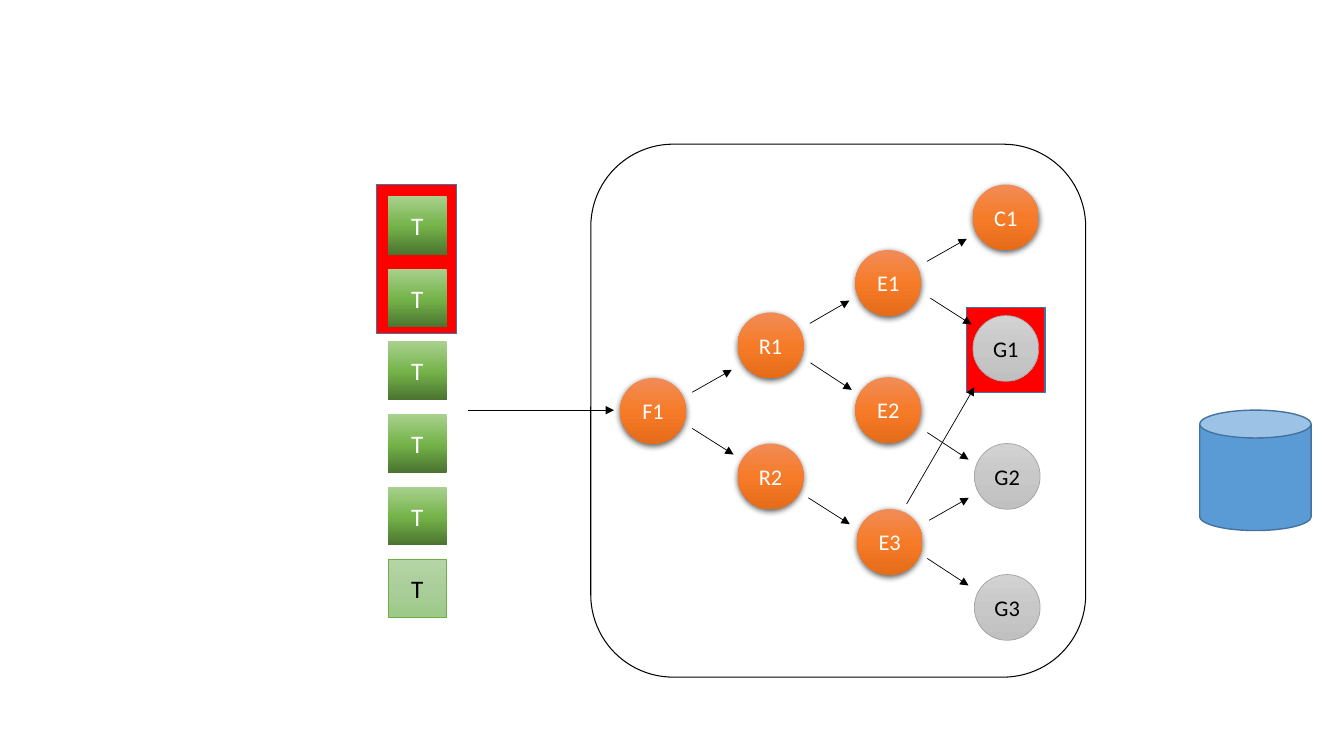
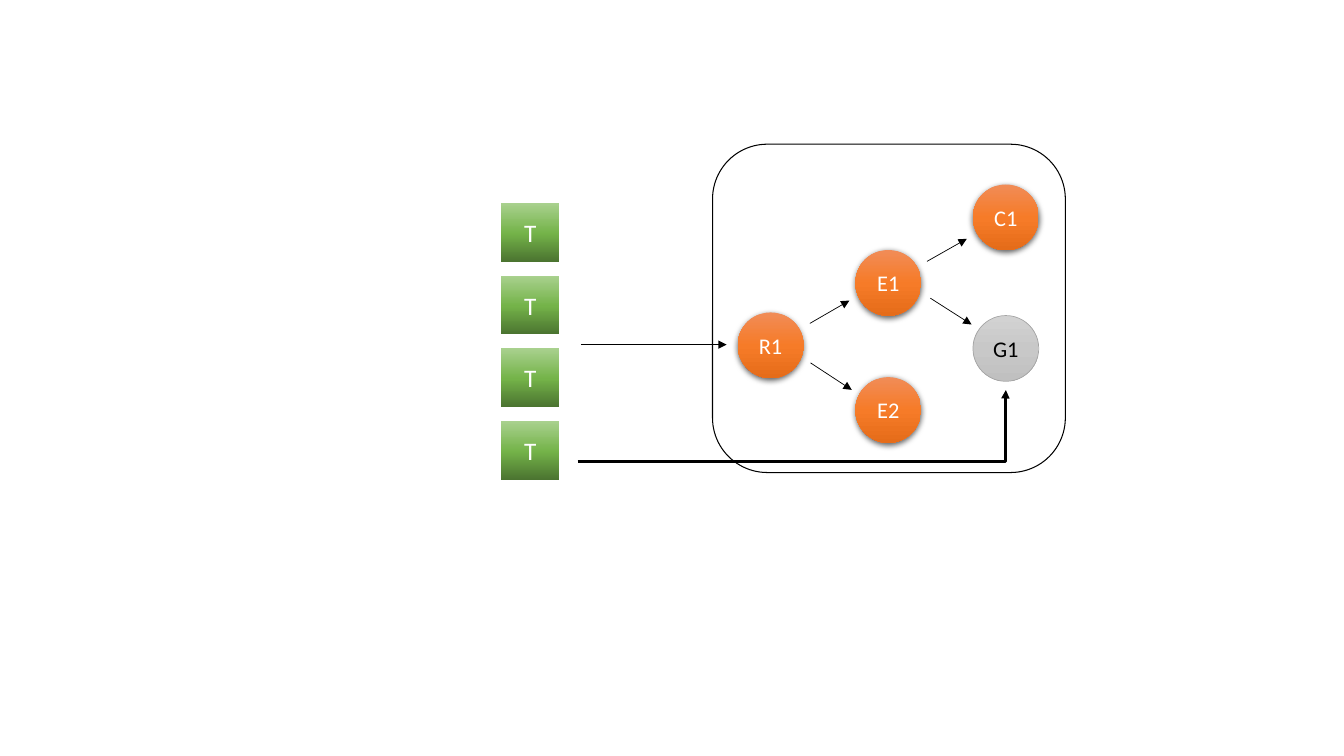
from copy import deepcopy
from dataclasses import dataclass
from typing import Optional

from lxml.etree import SubElement
from pptx import Presentation
from pptx.dml.color import RGBColor
from pptx.enum.shapes import MSO_CONNECTOR, MSO_SHAPE
from pptx.enum.text import MSO_ANCHOR, PP_ALIGN
from pptx.oxml.ns import qn
from pptx.shapes.autoshape import Shape
from pptx.shapes.connector import Connector
from pptx.slide import Slide
from pptx.util import Pt


@dataclass(frozen=True)
class Look:
    stops: tuple[tuple[float, str], ...] = ()
    fill: Optional[str] = None
    outline: Optional[str] = None
    outline_width: float = 0.5
    text: str = "FFFFFF"
    text_size: float = 16
    shadow: bool = False


@dataclass(frozen=True)
class Theme:
    font: str = "Calibri"
    ink: str = "000000"
    thin: float = 0.5
    thick: float = 2
    active: Look = Look(
        stops=((0, "F18C57"), (0.5, "F67B28"), (1, "E56C19")), shadow=True)
    goal: Look = Look(
        stops=((0, "D2D2D2"), (0.5, "C8C8C8"), (1, "C0C0C0")),
        outline="A5A5A5", text="000000")
    token: Look = Look(
        stops=((0, "A9D18E"), (0.52, "74B349"), (1, "4B7430")), text_size=18)
    pale_token: Look = Look(
        stops=((0, "B5D5A7"), (0.5, "AACE9A"), (1, "9CC987")),
        outline="70AD47", text="000000", text_size=18)
    highlight: Look = Look(fill="FF0000", outline="43739E", outline_width=1)
    store: Look = Look(fill="5B9BD5", outline="43739E", outline_width=1)
    frame: Look = Look(outline="000000", outline_width=0.75)


@dataclass(frozen=True)
class Box:
    left: float
    top: float
    width: float
    height: float


@dataclass(frozen=True)
class Node:
    label: str
    left: float
    top: float
    look: Look


@dataclass(frozen=True)
class Arrow:
    start_x: float
    start_y: float
    end_x: float
    end_y: float


THEME = Theme()
NODE_SIZE = 47
TOKEN_SIZE = 41.8
TOKEN_STEP = 51.9

SHARED_NODES = (
    Node("R1", 527, 223.2, THEME.active),
    Node("E1", 611, 178.6, THEME.active),
    Node("C1", 695, 131.8, THEME.active),
    Node("G1", 695, 225.4, THEME.goal),
    Node("E2", 611, 269.4, THEME.active),
)
SHARED_ARROWS = (
    Arrow(578.5, 231, 606.7, 214.7),
    Arrow(662.2, 186.7, 690.6, 170.6),
    Arrow(579, 259.2, 608.4, 278.5),
    Arrow(664.6, 213, 694, 231.8),
)
FULL_NODES = (
    Node("F1", 443, 270, THEME.active),
    Node("R2", 527, 316.8, THEME.active),
    Node("E3", 612, 363.6, THEME.active),
    Node("G2", 696, 316.8, THEME.goal),
    Node("G3", 696, 410.4, THEME.goal),
)
FULL_ARROWS = (
    Arrow(494.5, 280.2, 522.7, 264.2),
    Arrow(494.5, 306, 524, 324.7),
    Arrow(662.4, 309, 691.8, 328.3),
    Arrow(663.8, 371.6, 692, 355.6),
    Arrow(577.4, 355.6, 607, 374.4),
    Arrow(662.4, 398.9, 691.8, 418.2),
    Arrow(647.6, 360, 696, 276.6),
    Arrow(334.6, 293, 438.5, 293),
)


def set_values(target: object, values: dict[str, object]) -> None:
    for name, value in values.items():
        setattr(target, name, value)


def paint(shape: Shape, look: Look) -> None:
    shape.shadow.inherit = False
    properties = shape._element.spPr
    if look.stops:
        shape.fill.gradient()
        shape.fill.gradient_angle = 270
        stop_list = properties.find(".//" + qn("a:gsLst"))
        stop_list.append(deepcopy(stop_list[-1]))
        for stop, (position, color) in zip(shape.fill.gradient_stops, look.stops):
            stop.position = position
            stop.color.rgb = RGBColor.from_string(color)
    elif look.fill:
        shape.fill.solid()
        shape.fill.fore_color.rgb = RGBColor.from_string(look.fill)
    else:
        shape.fill.background()
    if look.outline:
        shape.line.color.rgb = RGBColor.from_string(look.outline)
        shape.line.width = Pt(look.outline_width)
    else:
        shape.line.fill.background()
    if look.shadow:
        shadow = SubElement(
            properties.find(qn("a:effectLst")), qn("a:outerShdw"),
            blurRad=str(Pt(4.5)), dist=str(Pt(1.5)), dir="5400000",
            algn="ctr", rotWithShape="0")
        color = SubElement(shadow, qn("a:srgbClr"), val=THEME.ink)
        SubElement(color, qn("a:alpha"), val="63000")


def draw_shape(slide: Slide, kind: MSO_SHAPE, box: Box, look: Look,
               label: str = "") -> Shape:
    shape = slide.shapes.add_shape(
        kind, Pt(box.left), Pt(box.top), Pt(box.width), Pt(box.height))
    paint(shape, look)
    if label:
        set_values(shape.text_frame, {
            "margin_left": 0, "margin_right": 0,
            "vertical_anchor": MSO_ANCHOR.MIDDLE})
        paragraph = shape.text_frame.paragraphs[0]
        paragraph.alignment = PP_ALIGN.CENTER
        run = paragraph.add_run()
        run.text = label
        set_values(run.font, {"name": THEME.font, "size": Pt(look.text_size)})
        run.font.color.rgb = RGBColor.from_string(look.text)
    return shape


def draw_nodes(slide: Slide, nodes: tuple[Node, ...]) -> None:
    for node in nodes:
        box = Box(node.left, node.top, NODE_SIZE, NODE_SIZE)
        draw_shape(slide, MSO_SHAPE.OVAL, box, node.look, node.label)


def draw_tokens(slide: Slide, left: float, top: float,
                looks: list[Look]) -> None:
    for index, look in enumerate(looks):
        box = Box(left, top + index * TOKEN_STEP, TOKEN_SIZE, TOKEN_SIZE)
        draw_shape(slide, MSO_SHAPE.RECTANGLE, box, look, "T")


def draw_arrow(slide: Slide, arrow: Arrow, width: float = THEME.thin,
               kind: MSO_CONNECTOR = MSO_CONNECTOR.STRAIGHT) -> Connector:
    connector = slide.shapes.add_connector(
        kind, Pt(arrow.start_x), Pt(arrow.start_y),
        Pt(arrow.end_x), Pt(arrow.end_y))
    connector.line.color.rgb = RGBColor.from_string(THEME.ink)
    connector.line.width = Pt(width)
    properties = connector._element.spPr
    SubElement(properties.find(qn("a:ln")), qn("a:tailEnd"), type="triangle")
    SubElement(properties, qn("a:effectLst"))
    return connector


def draw_arrows(slide: Slide, arrows: tuple[Arrow, ...]) -> None:
    for arrow in arrows:
        draw_arrow(slide, arrow)


def draw_turning_arrow(slide: Slide, arrow: Arrow, turn: float) -> None:
    connector = draw_arrow(slide, arrow, THEME.thick, MSO_CONNECTOR.ELBOW)
    adjustments = connector._element.spPr.find(".//" + qn("a:avLst"))
    SubElement(adjustments, qn("a:gd"), name="adj1",
               fmla=f"val {round(turn * 100000)}")


def build_full_network(slide: Slide) -> None:
    for box in (Box(269, 131.6, 57, 106.6), Box(690.5, 219.5, 56, 61)):
        draw_shape(slide, MSO_SHAPE.RECTANGLE, box, THEME.highlight)
    draw_shape(slide, MSO_SHAPE.ROUNDED_RECTANGLE,
               Box(422, 103, 353.5, 380.7), THEME.frame)
    draw_nodes(slide, SHARED_NODES + FULL_NODES)
    draw_arrows(slide, SHARED_ARROWS + FULL_ARROWS)
    draw_shape(slide, MSO_SHAPE.CAN, Box(857, 293, 79.5, 86), THEME.store)
    draw_tokens(slide, 277.2, 140, [THEME.token] * 5 + [THEME.pale_token])


def build_reduced_network(slide: Slide) -> None:
    draw_shape(slide, MSO_SHAPE.ROUNDED_RECTANGLE,
               Box(509, 103, 252, 234.5), THEME.frame)
    draw_nodes(slide, SHARED_NODES)
    draw_arrows(slide, SHARED_ARROWS + (Arrow(415, 246.2, 519, 246.2),))
    draw_tokens(slide, 357.8, 145, [THEME.token] * 4)
    draw_turning_arrow(slide, Arrow(412.6, 329.6, 718.5, 278.6), 0.999)


def main() -> None:
    presentation = Presentation()
    set_values(presentation, {"slide_width": Pt(960), "slide_height": Pt(540)})
    blank_layout = presentation.slide_layouts[6]
    for build in (build_full_network, build_reduced_network):
        build(presentation.slides.add_slide(blank_layout))
    presentation.save("out.pptx")


if __name__ == "__main__":
    main()
